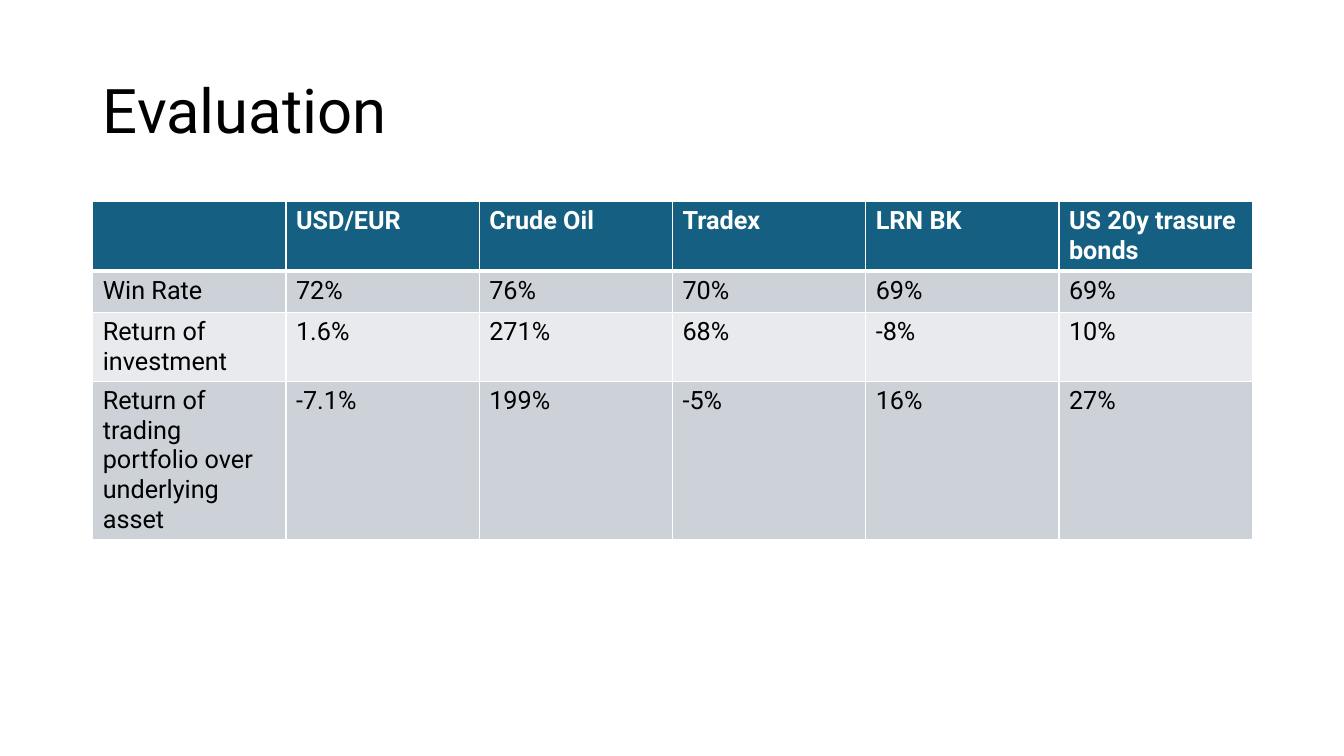
from lxml.etree import SubElement
from pptx import Presentation
from pptx.dml.color import RGBColor
from pptx.enum.text import MSO_ANCHOR, MSO_AUTO_SIZE, PP_ALIGN
from pptx.oxml.ns import qn
from pptx.util import Inches, Pt

BLACK = RGBColor(0x00, 0x00, 0x00)
WHITE = RGBColor(0xFF, 0xFF, 0xFF)
HEADER_BLUE = RGBColor(0x15, 0x60, 0x82)
BAND_DARK = RGBColor(0xCC, 0xD2, 0xD8)
BAND_LIGHT = RGBColor(0xE8, 0xEA, 0xED)

TITLE_FONT = {"name": "Roboto", "size": Pt(44), "bold": False}
HEADER_FONT = {"name": "Roboto", "size": Pt(18), "bold": True}
BODY_FONT = {**HEADER_FONT, "bold": False}

RESULTS = [
    ["", "USD/EUR", "Crude Oil", "Tradex", "LRN BK", "US 20y trasure bonds"],
    ["Win Rate", "72%", "76%", "70%", "69%", "69%"],
    ["Return of investment", "1.6%", "271%", "68%", "-8%", "10%"],
    ["Return of trading portfolio over underlying asset",
     "-7.1%", "199%", "-5%", "16%", "27%"],
]


def format_font(font, values, color):
    """Apply a dict of font values and a colour."""
    for name, value in values.items():
        setattr(font, name, value)
    font.color.rgb = color


def set_borders(cell, widths):
    """Draw white cell borders with the given widths in points."""
    properties = cell._tc.get_or_add_tcPr()
    for side, width in widths.items():
        border = SubElement(properties, qn(f"a:ln{side}"), w=str(Pt(width)))
        fill = SubElement(border, qn("a:solidFill"))
        SubElement(fill, qn("a:srgbClr"), val=str(WHITE))


def place_title(slide, text, left, top, width, height):
    """Fill and place the title placeholder in its box."""
    title = slide.shapes.title
    title.left, title.top, title.width, title.height = left, top, width, height
    frame = title.text_frame
    frame.text = text
    frame.word_wrap = True
    frame.auto_size = MSO_AUTO_SIZE.NONE
    frame.vertical_anchor = MSO_ANCHOR.MIDDLE
    heading = frame.paragraphs[0]
    heading.alignment = PP_ALIGN.LEFT
    heading.line_spacing = 0.9
    format_font(heading.runs[0].font, TITLE_FONT, BLACK)


def place_results(slide, results, left, top, width, row_height):
    """Build the banded results table with equal columns."""
    column_count = len(results[0])
    table = slide.shapes.add_table(
        len(results), column_count, left, top, width, row_height * len(results)
    ).table
    for column in table.columns:
        column.width = width // column_count
    for row, values in enumerate(results):
        is_header = row == 0
        band = HEADER_BLUE if is_header else (BAND_LIGHT, BAND_DARK)[row % 2]
        widths = {"L": 1, "R": 1, "T": 3 if row == 1 else 1, "B": 3 if is_header else 1}
        for column, value in enumerate(values):
            cell = table.cell(row, column)
            set_borders(cell, widths)
            cell.fill.solid()
            cell.fill.fore_color.rgb = band
            cell.text = value
            format_font(
                cell.text_frame.paragraphs[0].font,
                HEADER_FONT if is_header else BODY_FONT,
                WHITE if is_header else BLACK,
            )
            for run in cell.text_frame.paragraphs[0].runs:
                format_font(
                    run.font,
                    HEADER_FONT if is_header else BODY_FONT,
                    WHITE if is_header else BLACK,
                )


def main():
    """Build the evaluation slide and save it."""
    deck = Presentation()
    deck.slide_width, deck.slide_height = Inches(13.33), Inches(7.5)
    slide = deck.slides.add_slide(deck.slide_layouts[5])
    left, width = Inches(0.92), Inches(11.5)
    place_title(slide, "Evaluation", left, Inches(0.4), width, Inches(1.45))
    place_results(slide, RESULTS, left, Inches(2), width, Inches(0.41))
    deck.save("out.pptx")


if __name__ == "__main__":
    main()
